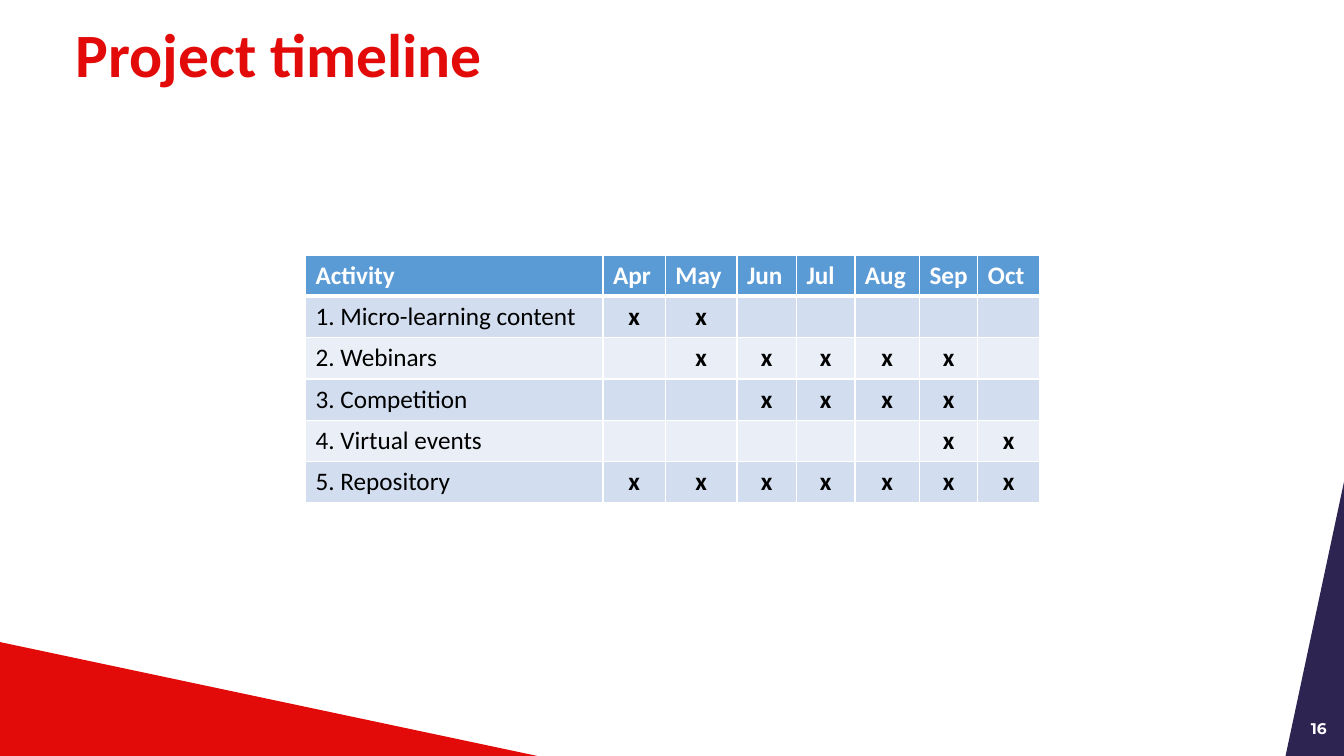
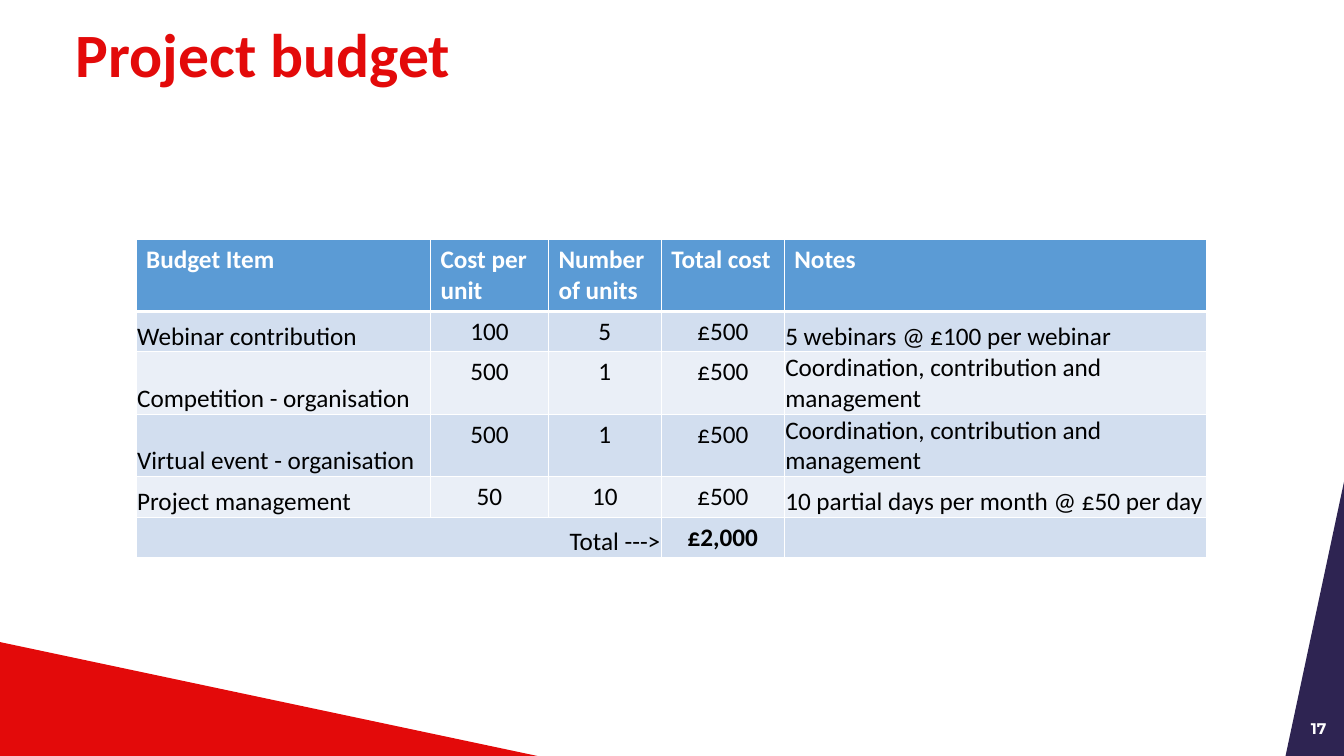
from lxml import etree
from pptx import Presentation
from pptx.dml.color import RGBColor
from pptx.enum.text import MSO_ANCHOR, PP_ALIGN
from pptx.oxml.ns import qn
from pptx.util import Inches, Pt

LEFT, CENTER, RIGHT = PP_ALIGN.LEFT, PP_ALIGN.CENTER, PP_ALIGN.RIGHT
TOP, MIDDLE, BOTTOM = MSO_ANCHOR.TOP, MSO_ANCHOR.MIDDLE, MSO_ANCHOR.BOTTOM

COLORS = {
    "red": "E30A0A",
    "navy": "2E2452",
    "white": "FFFFFF",
    "black": "000000",
    "header": "5B9BD5",
    "odd_row": "D2DEEF",
    "even_row": "EAEFF7",
}
WIDTH, HEIGHT = 13.33, 7.5
CELL_INSETS = (0.1, 0.05, 0.1, 0.05)
TIGHT_INSETS = (0.01, 0.01, 0.01, 0)

MONTHS = ["Apr", "May", "Jun", "Jul", "Aug", "Sep", "Oct"]
ACTIVITIES = {
    "1. Micro-learning content": ["Apr", "May"],
    "2. Webinars": ["May", "Jun", "Jul", "Aug", "Sep"],
    "3. Competition": ["Jun", "Jul", "Aug", "Sep"],
    "4. Virtual events": ["Sep", "Oct"],
    "5. Repository": MONTHS,
}
BUDGET = [
    ["Budget Item", "Cost per unit", "Number of units", "Total cost", "Notes"],
    ["Webinar contribution", "100", "5", "£500", "5 webinars @ £100 per webinar"],
    ["Competition - organisation", "500", "1", "£500",
     "Coordination, contribution and management"],
    ["Virtual event - organisation", "500", "1", "£500",
     "Coordination, contribution and management"],
    ["Project management", "50", "10", "£500",
     "10 partial days per month @ £50 per day"],
    ["Total --->", "", "", "£2,000", ""],
]


def color(name):
    return RGBColor.from_string(COLORS[name])


def write(frame, text, size=18, font="Calibri", ink="black", bold=False,
          align=LEFT, spacing=None):
    paragraph = frame.paragraphs[0]
    paragraph.alignment = align
    paragraph.line_spacing = spacing
    run = paragraph.add_run()
    run.text = text
    run.font.size = Pt(size)
    run.font.name = font
    run.font.bold = bold
    run.font.color.rgb = color(ink)


def set_insets(holder, insets):
    left, top, right, bottom = map(Inches, insets)
    holder.margin_left, holder.margin_top = left, top
    holder.margin_right, holder.margin_bottom = right, bottom


def add_text(slide, box, text, insets=CELL_INSETS, anchor=TOP, **style):
    frame = slide.shapes.add_textbox(*map(Inches, box)).text_frame
    frame.word_wrap = True
    frame.vertical_anchor = anchor
    set_insets(frame, insets)
    write(frame, text, **style)


def add_wedge(slide, corners, fill):
    start, *others = [(Inches(x), Inches(y)) for x, y in corners]
    builder = slide.shapes.build_freeform(*start)
    builder.add_line_segments(others, close=True)
    wedge = builder.convert_to_shape()
    wedge.shadow.inherit = False
    wedge.fill.solid()
    wedge.fill.fore_color.rgb = color(fill)
    wedge.line.fill.background()


def add_frame(presentation, title, number):
    slide = presentation.slides.add_slide(presentation.slide_layouts[6])
    add_wedge(slide, [(WIDTH, 4.78), (WIDTH, HEIGHT), (12.75, HEIGHT)], "navy")
    add_wedge(slide, [(0, 6.37), (5.33, HEIGHT), (0, HEIGHT)], "red")
    add_text(slide, (12.81, 7.03, 0.54, 0.4), number, anchor=MIDDLE, size=11,
             font="Montserrat", ink="white", bold=True, align=CENTER)
    add_text(slide, (0.75, 0.24, 10.79, 0.63), title, insets=(0, 0, 0, 0),
             size=44, ink="red", bold=True, spacing=0.9)
    return slide


def set_borders(cell, row):
    weights = {"L": 1, "R": 1, "T": 3 if row == 1 else 1, "B": 3 if row == 0 else 1}
    properties = cell._tc.get_or_add_tcPr()
    for position, (side, weight) in enumerate(weights.items()):
        line = etree.Element(qn(f"a:ln{side}"), w=str(Pt(weight)))
        fill = etree.SubElement(line, qn("a:solidFill"))
        etree.SubElement(fill, qn("a:srgbClr"), val=COLORS["white"])
        properties.insert(position, line)


def add_grid(slide, left, top, widths, heights, rows, body_format):
    box = map(Inches, (left, top, sum(widths), sum(heights)))
    table = slide.shapes.add_table(len(rows), len(widths), *box).table
    for column, width in zip(table.columns, widths):
        column.width = Inches(width)
    for line, height in zip(table.rows, heights):
        line.height = Inches(height)
    for r, texts in enumerate(rows):
        shade = "header" if r == 0 else "odd_row" if r % 2 else "even_row"
        for c, text in enumerate(texts):
            cell = table.cell(r, c)
            cell.fill.solid()
            cell.fill.fore_color.rgb = color(shade)
            set_borders(cell, r)
            style = {"ink": "white", "bold": True} if r == 0 else body_format(r, c)
            set_insets(cell, style.pop("insets", CELL_INSETS))
            cell.vertical_anchor = style.pop("anchor", TOP)
            if text:
                write(cell.text_frame, text, **style)
    return table


def timeline_format(row, column):
    return {"bold": True, "align": CENTER} if column else {}


def budget_format(row, column):
    if column in (0, 4):
        is_total = row == len(BUDGET) - 1 and column == 0
        return {"insets": TIGHT_INSETS, "anchor": BOTTOM,
                "align": RIGHT if is_total else LEFT}
    return {"align": CENTER, "bold": row == len(BUDGET) - 1}


def add_timeline(presentation):
    slide = add_frame(presentation, "Project timeline", "16")
    rows = [["Activity", *MONTHS]]
    for activity, active in ACTIVITIES.items():
        rows.append([activity] + ["x" if month in active else "" for month in MONTHS])
    add_grid(slide, 3.03, 2.53, [2.95, 0.62, 0.71, 0.59, 0.58, 0.64, 0.58, 0.61],
             [0.41] * len(rows), rows, timeline_format)


def add_budget(presentation):
    slide = add_frame(presentation, "Project budget", "17")
    table = add_grid(slide, 1.35, 2.38, [2.92, 1.17, 1.12, 1.22, 4.19],
                     [0.71, 0.4, 0.62, 0.62, 0.4, 0.4], BUDGET, budget_format)
    total = len(BUDGET) - 1
    table.cell(total, 0).merge(table.cell(total, 2))


def main():
    presentation = Presentation()
    presentation.slide_width = Inches(WIDTH)
    presentation.slide_height = Inches(HEIGHT)
    add_timeline(presentation)
    add_budget(presentation)
    presentation.save("out.pptx")


if __name__ == "__main__":
    main()
